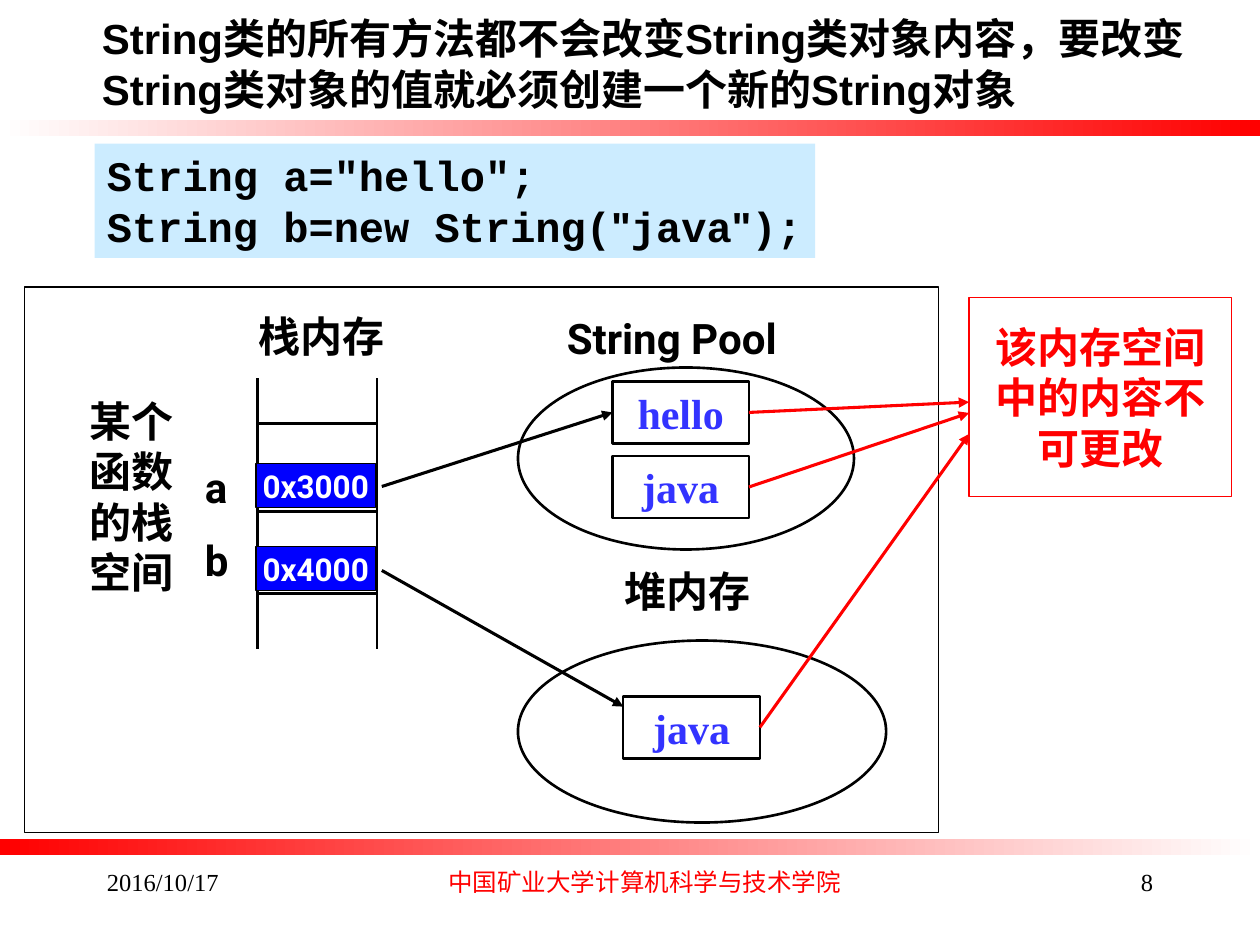
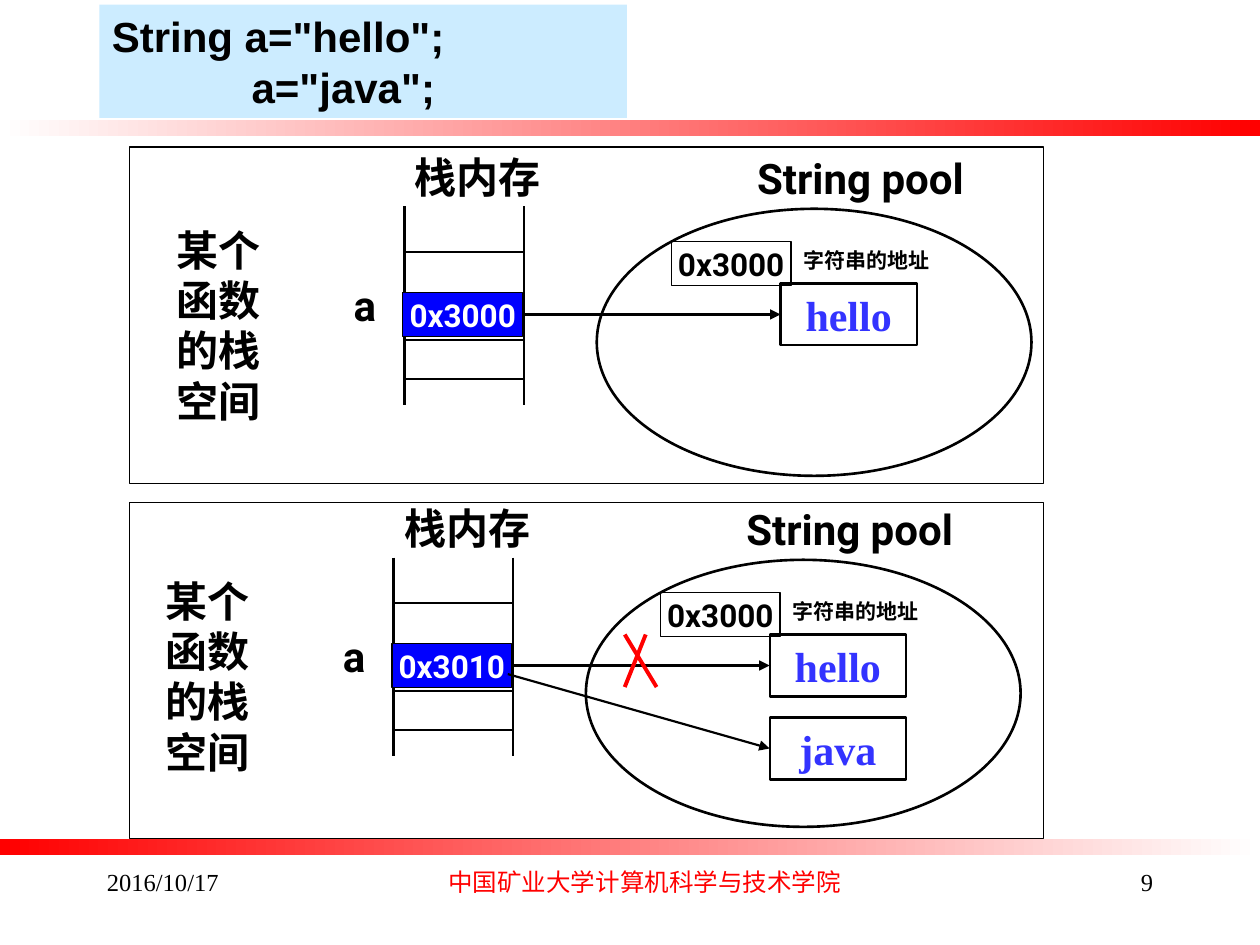
"""Builds two slides on how Java strings sit in stack, pool and heap memory."""
from dataclasses import dataclass
from typing import NamedTuple, Optional, Union

from lxml import etree
from pptx import Presentation
from pptx.dml.color import RGBColor
from pptx.enum import shapes, text
from pptx.oxml.ns import qn
from pptx.util import Pt

COLOURS = {
    "black": "000000", "white": "FFFFFF", "red": "FF0000",
    "code": "CCECFF", "cell": "0000FF", "value": "3333FF",
}
CJK = "Noto Sans CJK SC"
RECT, OVAL = shapes.MSO_SHAPE.RECTANGLE, shapes.MSO_SHAPE.OVAL
LEFT, CENTER, RIGHT = text.PP_ALIGN.LEFT, text.PP_ALIGN.CENTER, text.PP_ALIGN.RIGHT
TOP, MIDDLE = text.MSO_ANCHOR.TOP, text.MSO_ANCHOR.MIDDLE
SITE_LEFT, SITE_RIGHT = 1, 3
CELL_W, CELL_H, CELL_SHIFT = 68.4, 25.2, 0.8
RUNGS = (26, 52.6, 76.3, 98.6, 123.1)


class Style(NamedTuple):
    font: str
    size: float
    colour: str = "black"
    bold: bool = True


class Site(NamedTuple):
    shape: object
    index: int


class Point(NamedTuple):
    x: float
    y: float


HEADING = Style("Arial", 24)
CODE = Style("Courier New", 24)
LABEL = Style("Roboto", 24)
CAPTION = Style("Roboto", 12)
ADDRESS = Style("Roboto", 18)
POINTER = Style("Roboto", 18, "white")
VALUE = Style("Times New Roman", 24, "value")
NOTE = Style("Times New Roman", 24, "red")
FOOTER = Style("Times New Roman", 14, bold=False)
SCHOOL = Style(CJK, 14, "red", False)


@dataclass
class Box:
    x: float
    y: float
    w: float
    h: float
    text: str = ""
    style: Style = LABEL
    kind: Optional[int] = RECT
    fill: Optional[str] = "white"
    line: Optional[str] = "black"
    weight: float = 0.75
    align: int = CENTER
    anchor: int = MIDDLE
    wrap: bool = False


def rgb(name: str) -> RGBColor:
    return RGBColor.from_string(COLOURS[name])


def format_run(r, style: Style) -> None:
    r.font.name, r.font.size, r.font.bold = style.font, Pt(style.size), style.bold
    r.font.color.rgb = rgb(style.colour)
    ea = etree.SubElement(r._r.get_or_add_rPr(), qn("a:ea"))
    ea.set("typeface", CJK)


def write(sp, box: Box) -> None:
    tf = sp.text_frame
    tf.text = box.text
    tf.word_wrap, tf.vertical_anchor = box.wrap, box.anchor
    for p in tf.paragraphs:
        p.alignment = box.align
        for r in p.runs:
            format_run(r, box.style)


def add_box(s, box: Box):
    frame = [Pt(v) for v in (box.x, box.y, box.w, box.h)]
    if box.kind is None:
        sp = s.shapes.add_textbox(*frame)
    else:
        sp = s.shapes.add_shape(box.kind, *frame)
        sp.shadow.inherit = False
        if box.fill:
            sp.fill.solid()
            sp.fill.fore_color.rgb = rgb(box.fill)
        else:
            sp.fill.background()
        if box.line:
            sp.line.color.rgb = rgb(box.line)
            sp.line.width = Pt(box.weight)
        else:
            sp.line.fill.background()
    if box.text:
        write(sp, box)
    return sp


def add_label(s, x: float, y: float, w: float, h: float, words: str,
              style: Style = LABEL, align: int = LEFT, wrap: bool = False):
    return add_box(s, Box(x, y, w, h, words, style, None,
                          align=align, anchor=TOP, wrap=wrap))


def add_code(s, x: float, y: float, w: float, h: float, code: str, style: Style):
    return add_box(s, Box(x, y, w, h, code, style, fill="code", line=None,
                          align=LEFT, anchor=TOP, wrap=True))


def add_oval(s, x: float, y: float, w: float, h: float):
    return add_box(s, Box(x, y, w, h, kind=OVAL, weight=1.5))


def add_value(s, x: float, y: float, word: str):
    return add_box(s, Box(x, y, 78, 35.4, word, VALUE, weight=1.25))


def add_line(s, begin: Union[Point, Site], end: Union[Point, Site],
             weight: float = 1.5, colour: str = "black", arrow: bool = False):
    ends = [e if isinstance(e, Point) else Point(0, 0) for e in (begin, end)]
    cn = s.shapes.add_connector(shapes.MSO_CONNECTOR.STRAIGHT,
                                *(Pt(v) for e in ends for v in e))
    if isinstance(begin, Site):
        cn.begin_connect(*begin)
    if isinstance(end, Site):
        cn.end_connect(*end)
    cn.line.color.rgb = rgb(colour)
    cn.line.width = Pt(weight)
    props = cn.element.spPr
    if arrow:
        etree.SubElement(props.find(qn("a:ln")), qn("a:tailEnd"), type="triangle")
    etree.SubElement(props, qn("a:effectLst"))
    return cn


def add_stack(s, x: float, y: float, height: float, rungs: int) -> None:
    for rail in (x, x + CELL_W):
        add_line(s, Point(rail, y), Point(rail, y + height))
    for drop in RUNGS[:rungs]:
        add_line(s, Point(x, y + drop), Point(x + CELL_W, y + drop))


def add_cell(s, x: float, y: float, address: str, style: Style = POINTER,
             fill: Optional[str] = "cell"):
    return add_box(s, Box(x, y, CELL_W, CELL_H, address, style, fill=fill))


def add_stack_name(s, x: float, y: float) -> None:
    add_label(s, x, y, 67, 122.4, "某个函数的栈空间", wrap=True)


def add_bands(prs, s) -> None:
    for y, ends in ((68.4, ("white", "red")), (479.6, ("red", "white"))):
        sp = add_box(s, Box(0, y, 720, 9.2, line=None))
        sp.fill.gradient()
        sp.fill.gradient_angle = 0
        for stop, position, colour in zip(sp.fill.gradient_stops, (0, 1), ends):
            stop.position, stop.color.rgb = position, rgb(colour)
        prs.slide_master.element.cSld.spTree.append(sp.element)


def add_footer(s, number: int) -> None:
    for x, w, words, style, align in (
            (54, 150, "2016/10/17", FOOTER, LEFT),
            (246, 245, "中国矿业大学计算机科学与技术学院", SCHOOL, CENTER),
            (516, 150, str(number), FOOTER, RIGHT)):
        add_label(s, x, 492, w, 36, words, style, align, wrap=True)


def build_new_object(s) -> None:
    title = s.shapes.title
    title.left, title.top, title.width, title.height = Pt(51), Pt(3.6), Pt(635), Pt(65.4)
    write(title, Box(0, 0, 0, 0, "String类的所有方法都不会改变String类对象内容，"
                     "要改变String类对象的值就必须创建一个新的String对象",
                     HEADING, align=LEFT, anchor=TOP, wrap=True))
    title.text_frame.auto_size = text.MSO_AUTO_SIZE.NONE

    code = add_code(s, 54, 82, 411.8, 65.4, 'String a="hello";', CODE)
    p = code.text_frame.add_paragraph()
    p.alignment = LEFT
    for part in ("String b=new String(", '"', "java", '"', ");"):
        r = p.add_run()
        r.text = part
        format_run(r, HEADING if part == '"' else CODE)

    add_box(s, Box(553.8, 170, 150, 113.6, "该内存空间中的内容不可更改",
                   NOTE, line="red", wrap=True))
    add_box(s, Box(14, 164, 522.2, 311.6))
    stack_x, stack_y = 147, 216
    add_stack(s, stack_x, stack_y, 155, 5)
    add_stack_name(s, 44, 222.5)
    add_oval(s, 296, 366, 210.4, 104)
    add_oval(s, 296, 210, 192, 104)
    for x, y, w, words in ((140.4, 174.2, 87, "栈内存"), (350, 319.6, 87, "堆内存"),
                           (110, 260, 29, "a"), (110, 302, 29.5, "b"),
                           (316.8, 175, 147.6, "String Pool")):
        add_label(s, x, y, w, 36, words)
    for drop, address in ((48.8, "0x3000"), (96.4, "0x4000")):
        add_cell(s, stack_x - CELL_SHIFT, stack_y + drop, address)

    hello = add_value(s, 350, 218, "hello")
    pooled = add_value(s, 350, 260.6, "java")
    heaped = add_value(s, 356.2, 398, "java")
    add_line(s, Point(218.2, 278), Site(hello, SITE_LEFT), 1.75, arrow=True)
    add_line(s, Point(218.2, 326), Point(356.2, 403.8), 1.75, arrow=True)
    for sp, y in ((hello, 229.8), (pooled, 236), (heaped, 248)):
        add_line(s, Site(sp, SITE_RIGHT), Point(553.8, y), 1.75, "red", True)


def add_pool_panel(s, frame_y: float, x: float, y: float, address: str):
    """Draws one framed stack-and-pool diagram whose stack starts at x, y."""
    add_box(s, Box(74, frame_y, 522.2, 192.2))
    add_stack(s, x, y, 113.2, 4)
    add_stack_name(s, x - 137.2, y + 6.5)
    add_oval(s, x + 110, y + 1.3, 248.4, 152.6)
    add_label(s, x - 1, y - 35.2, 87, 36, "栈内存")
    add_label(s, x - 36, y + 38.4, 29, 36, "a")
    add_label(s, x + 194.6, y - 34.2, 147, 36, "String pool")
    hello = add_value(s, x + 215, y + 44, "hello")
    add_cell(s, x + 152.6, y + 20, "0x3000", ADDRESS, None)
    add_label(s, x + 221.2, y + 20, 86.4, 21.6, "字符串的地址", CAPTION)
    cell = add_cell(s, x - CELL_SHIFT, y + 49.1, address)
    add_line(s, Site(cell, SITE_RIGHT), Site(hello, SITE_LEFT), 1.25, arrow=True)


def build_reassignment(s) -> None:
    add_code(s, 56.8, 2.6, 301.4, 64.8,
             'String a="hello";\n            a="java";', HEADING)
    add_pool_panel(s, 84, 231, 118, "0x3000")
    add_pool_panel(s, 287, 224.8, 318.6, "0x3010")
    java = add_value(s, 439.8, 410, "java")
    add_line(s, Point(290.2, 385.2), Site(java, SITE_LEFT), 1.25, arrow=True)
    for begin, end in ((Point(357, 362.6), Point(375.2, 392.6)),
                       (Point(357, 392.6), Point(369, 362.6))):
        add_line(s, begin, end, 2.25, "red")


def main() -> None:
    prs = Presentation()
    prs.slide_width, prs.slide_height = Pt(720), Pt(540)
    title_only, blank = prs.slide_layouts[5], prs.slide_layouts[6]
    pages = ((title_only, build_new_object), (blank, build_reassignment))
    for number, (layout, build) in enumerate(pages, 8):
        s = prs.slides.add_slide(layout)
        build(s)
        add_footer(s, number)
    add_bands(prs, prs.slides[0])
    prs.save("out.pptx")


if __name__ == "__main__":
    main()
